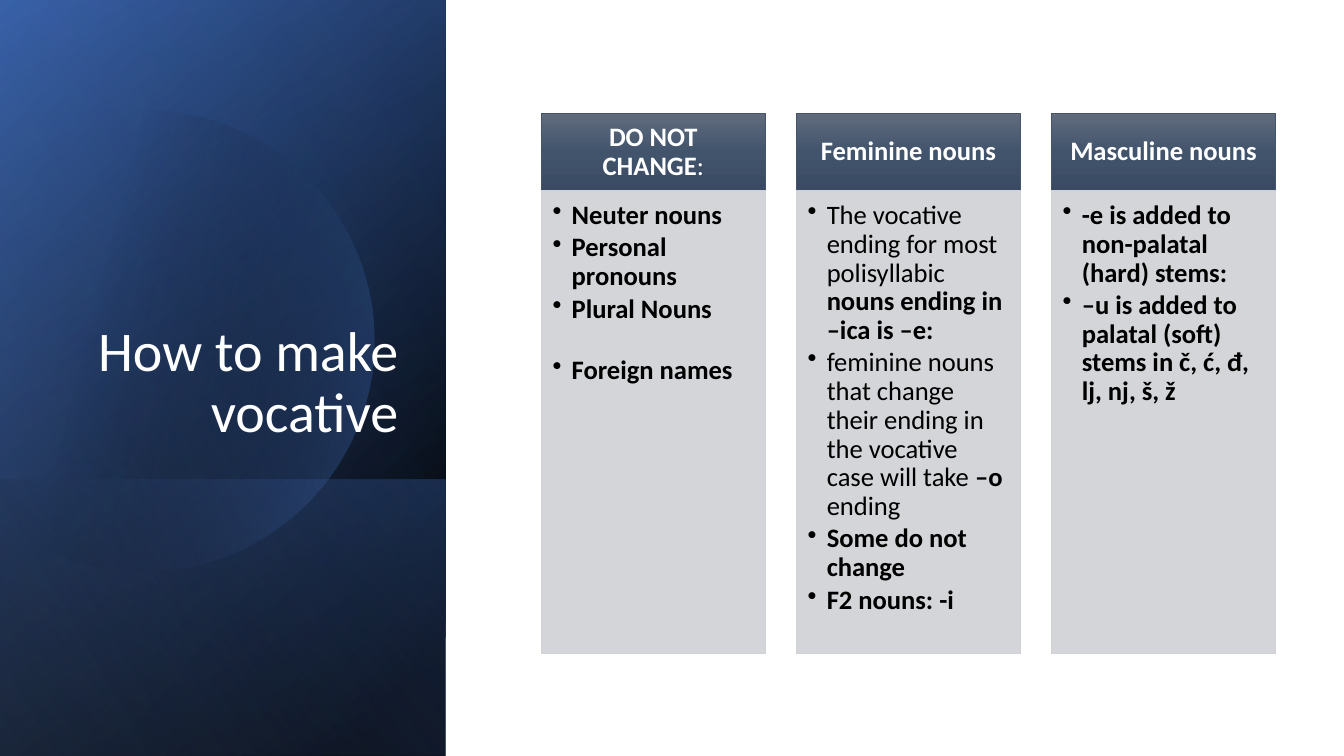
"""Build the slide on making the vocative case."""
import math
import pptx
import pptx.util
import pptx.dml.color
import pptx.enum.shapes
import pptx.enum.text
import pptx.oxml
import pptx.oxml.ns
from lxml import etree

Inches, Pt = pptx.util.Inches, pptx.util.Pt
RGBColor = pptx.dml.color.RGBColor
Align, Anchor = pptx.enum.text.PP_ALIGN, pptx.enum.text.MSO_ANCHOR
qn = pptx.oxml.ns.qn

TITLE = "How to make vocative"
CARDS = [
    ("*DO NOT CHANGE*:",
     ["*Neuter nouns*", "*Personal pronouns*", "*Plural Nouns*", "*Foreign names*"]),
    ("*Feminine nouns*",
     ["The vocative ending for most polisyllabic* nouns ending in –ica is –e:*",
      "feminine nouns that change their ending in the vocative case will take *–o* ending",
      "*Some do not change*",
      "*F2 nouns: -i*"]),
    ("*Masculine nouns*",
     ["*-e is added to non-palatal (hard) stems:*",
      "*–u is added to palatal (soft) stems in č, ć, đ, lj, nj, š, ž*"]),
]
GAPS = {"*Plural Nouns*": 23.2}

BLACK = RGBColor(0x00, 0x00, 0x00)
WHITE = RGBColor(0xFF, 0xFF, 0xFF)
NAVY = RGBColor(0x2F, 0x55, 0x97)
BLUE = RGBColor(0x44, 0x72, 0xC4)
SKY = RGBColor(0x8F, 0xAA, 0xDC)
SLATE = RGBColor(0x44, 0x54, 0x6A)
GREY = RGBColor(0xCF, 0xD1, 0xD4)
HEAD = [(0, RGBColor(0x60, 0x6B, 0x7D), 100), (50, RGBColor(0x42, 0x54, 0x6C), 100),
        (100, RGBColor(0x39, 0x4A, 0x62), 100)]

WIDE, HIGH = 13.33, 7.5
SIDE, FOOT = 4.42, 2.74
LEFT, TOP, COL, GAP = 5.37, 1.13, 2.22, 0.31
CAP, BODY = 0.76, 4.59
ORB = (1.42, 3.38, 2.29, 128)
PANES = [
    (HIGH, [(8, BLACK, 100), (100, NAVY, 100)], 50),
    (HIGH, [(0, BLACK, 0), (99, BLUE, 46)], 30),
    (FOOT, [(2, BLUE, 29), (100, BLACK, 30)], 130),
]
GLOW = [(29, BLACK, 0), (100, BLUE, 43)]
SHEEN = (HIGH, [(0, BLACK, 0), (99, SKY, 11)], 120)


def tint(node, color, alpha):
    """Add a colour with its opacity in percent."""
    mark = etree.SubElement(node, qn("a:srgbClr"), val=str(color))
    if alpha < 100:
        etree.SubElement(mark, qn("a:alpha"), val=str(alpha * 1000))


def blend(shape, stops, angle):
    """Fill a shape with a linear gradient."""
    shape.fill.gradient()
    grad = shape._element.spPr.find(qn("a:gradFill"))
    grad.clear()
    grad.set("rotWithShape", "1")
    group = etree.SubElement(grad, qn("a:gsLst"))
    for place, color, alpha in stops:
        tint(etree.SubElement(group, qn("a:gs"), pos=str(place * 1000)), color, alpha)
    etree.SubElement(grad, qn("a:lin"), ang=str(angle * 60000), scaled="0")


def box(slide, x, y, wide, high, line=None):
    """Add a plain rectangle."""
    shape = slide.shapes.add_shape(pptx.enum.shapes.MSO_SHAPE.RECTANGLE,
                                   Inches(x), Inches(y), Inches(wide), Inches(high))
    shape.shadow.inherit = False
    if line is None:
        shape.line.fill.background()
    else:
        shape.line.color.rgb = line
        shape.line.width = Pt(0.5)
    return shape


def pane(slide, high, stops, angle):
    """Add a turned side panel that stands on the slide's lower edge."""
    shape = box(slide, (SIDE - high) / 2, HIGH - (high + SIDE) / 2, high, SIDE)
    shape.rotation = 90
    shape._element.spPr.xfrm.set("flipH", "1")
    blend(shape, stops, angle)


def orb(slide):
    """Add the soft circle cut off at the slide's left edge."""
    x, y, size, span = ORB
    dots = [(Inches(x + size * math.cos(math.radians(turn))),
             Inches(y + size * math.sin(math.radians(turn))))
            for turn in range(-span, span + 1, 2)]
    form = slide.shapes.build_freeform(*dots[0])
    form.add_line_segments(dots[1:], close=True)
    shape = form.convert_to_shape()
    shape.shadow.inherit = False
    shape.line.fill.background()
    blend(shape, GLOW, 14)


def write(shape, lines, size=19, color=BLACK, align=Align.LEFT, anchor=Anchor.TOP,
          inset=(0.1, 0.05, 0.1, 0.05), after=0, bullet=False):
    """Write lines in a shape; stars enclose bold words."""
    frame = shape.text_frame
    frame.word_wrap = True
    frame.auto_size = pptx.enum.text.MSO_AUTO_SIZE.NONE
    frame.vertical_anchor = anchor
    (frame.margin_left, frame.margin_top,
     frame.margin_right, frame.margin_bottom) = map(Inches, inset)
    for index, line in enumerate(lines):
        para = frame.add_paragraph() if index else frame.paragraphs[0]
        if bullet:
            props = para._p.get_or_add_pPr()
            props.set("marL", str(Inches(0.19)))
            props.set("indent", str(-Inches(0.19)))
            etree.SubElement(props, qn("a:buChar"), char="•")
        para.alignment = align
        para.line_spacing = 0.9
        para.space_before = Pt(0)
        para.space_after = Pt(GAPS.get(line, after))
        for part, words in enumerate(line.split("*")):
            if words:
                run = para.add_run()
                run.text = words
                run.font.name = "Calibri"
                run.font.size = Pt(size)
                run.font.bold = part % 2 == 1
                run.font.color.rgb = color


def card(slide, index, label, items):
    """Add one column with its header and list."""
    x = LEFT + index * (COL + GAP)
    head = box(slide, x, TOP, COL, CAP, SLATE)
    blend(head, HEAD, 90)
    write(head, [label], color=WHITE, align=Align.CENTER, anchor=Anchor.MIDDLE,
          inset=(0.15, 0.08, 0.15, 0.08))
    body = box(slide, x, TOP + CAP, COL, BODY, GREY)
    body.fill.solid()
    fill = body._element.spPr.find(qn("a:solidFill"))
    fill.clear()
    tint(fill, GREY, 90)
    write(body, items, inset=(0.11, 0.11, 0.15, 0.17), after=2.6, bullet=True)


def main():
    """Compose and save the slide."""
    deck = pptx.Presentation()
    deck.slide_width, deck.slide_height = Inches(WIDE), Inches(HIGH)
    slide = deck.slides.add_slide(deck.slide_layouts[5])
    for high, stops, angle in PANES:
        pane(slide, high, stops, angle)
    orb(slide)
    pane(slide, *SHEEN)
    title = slide.shapes.title
    title.left, title.top, title.width, title.height = map(Inches, (0.64, 1.84, 3.41, 2.62))
    write(title, [TITLE], size=40, color=WHITE, align=Align.RIGHT, anchor=Anchor.BOTTOM)
    slide.shapes._spTree.append(title._element)
    for index, (label, items) in enumerate(CARDS):
        card(slide, index, label, items)
    deck.save("out.pptx")


if __name__ == "__main__":
    main()
